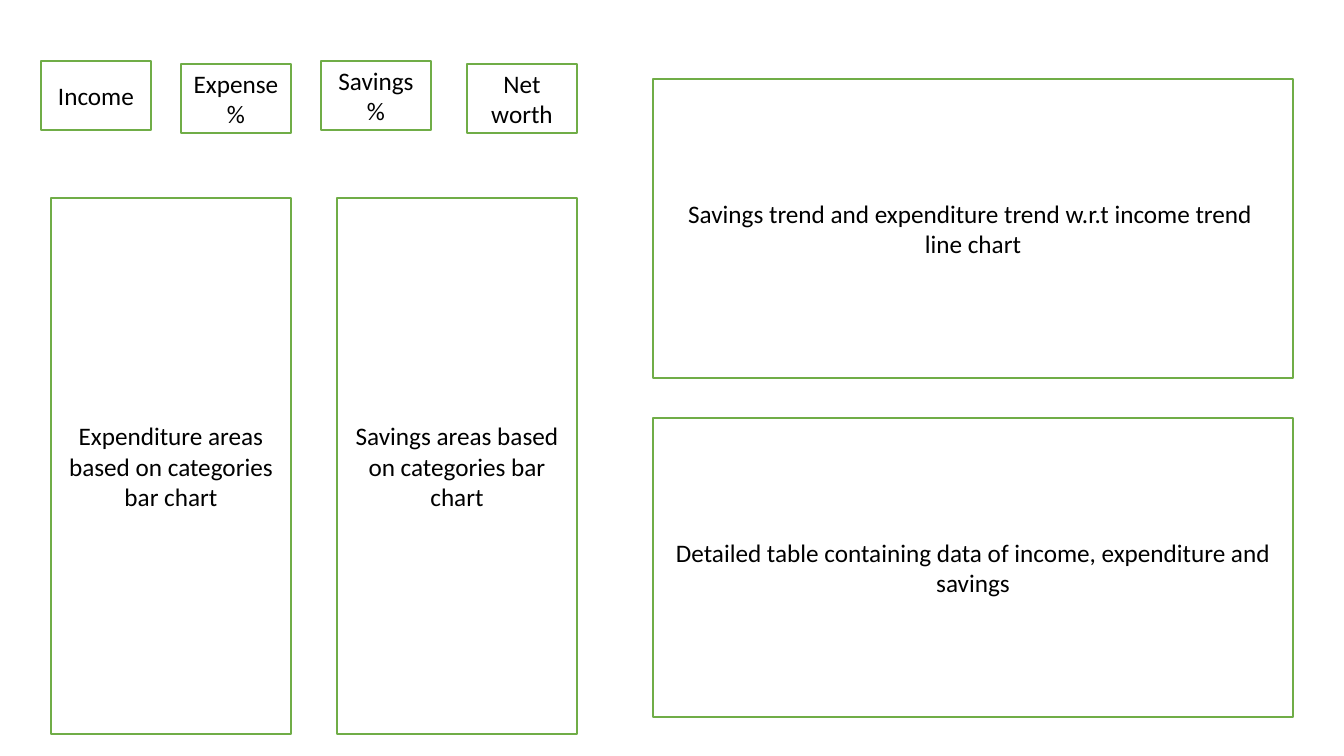
from pptx import Presentation
from pptx.dml.color import RGBColor
from pptx.enum.shapes import MSO_SHAPE
from pptx.enum.text import MSO_ANCHOR, PP_ALIGN
from pptx.util import Emu, Pt

EMU_PER_PIXEL = 914400 / 100.8
WHITE = RGBColor(0xFF, 0xFF, 0xFF)
BLACK = RGBColor(0x00, 0x00, 0x00)
GREEN = RGBColor(0x70, 0xAD, 0x47)
FONT = "Calibri"

CARD_SIZE = (110, 69)
BAR_SIZE = (240, 536)
PANEL_SIZE = (640, 299)


def px(pixels):
    return Emu(round(pixels * EMU_PER_PIXEL))


def add_box(slide, position, size, *lines):
    """Add a green outlined box with one centred paragraph per line."""
    shape = slide.shapes.add_shape(
        MSO_SHAPE.RECTANGLE, *(px(value) for value in position + size))
    shape.shadow.inherit = False
    shape.fill.solid()
    shape.fill.fore_color.rgb = WHITE
    shape.line.color.rgb = GREEN
    shape.line.width = Pt(1)

    text_frame = shape.text_frame
    text_frame.word_wrap = True
    text_frame.vertical_anchor = MSO_ANCHOR.MIDDLE
    for index, line in enumerate(lines):
        paragraph = text_frame.add_paragraph() if index else text_frame.paragraphs[0]
        paragraph.alignment = PP_ALIGN.CENTER
        run = paragraph.add_run()
        run.text = line
        run.font.name = FONT
        run.font.size = Pt(18)
        run.font.color.rgb = BLACK


def main():
    presentation = Presentation()
    presentation.slide_width = px(1344)
    presentation.slide_height = px(756)
    slide = presentation.slides.add_slide(presentation.slide_layouts[6])

    # Key figure cards
    add_box(slide, (41, 61), CARD_SIZE, "Income")
    add_box(slide, (181, 64), CARD_SIZE, "Expense %")
    add_box(slide, (321, 61), CARD_SIZE, "Savings %")
    add_box(slide, (467, 64), CARD_SIZE, "Net worth")

    # Bar chart areas
    for left, topic in ((51, "Expenditure"), (337, "Savings")):
        add_box(slide, (left, 198), BAR_SIZE,
                f"{topic} areas based on categories bar chart")

    # Trend and table panels
    add_box(slide, (653, 79), PANEL_SIZE,
            "Savings trend and expenditure trend w.r.t income trend ", "line chart")
    add_box(slide, (653, 418), PANEL_SIZE,
            "Detailed table containing data of income, expenditure and savings")

    presentation.save("out.pptx")


main()
